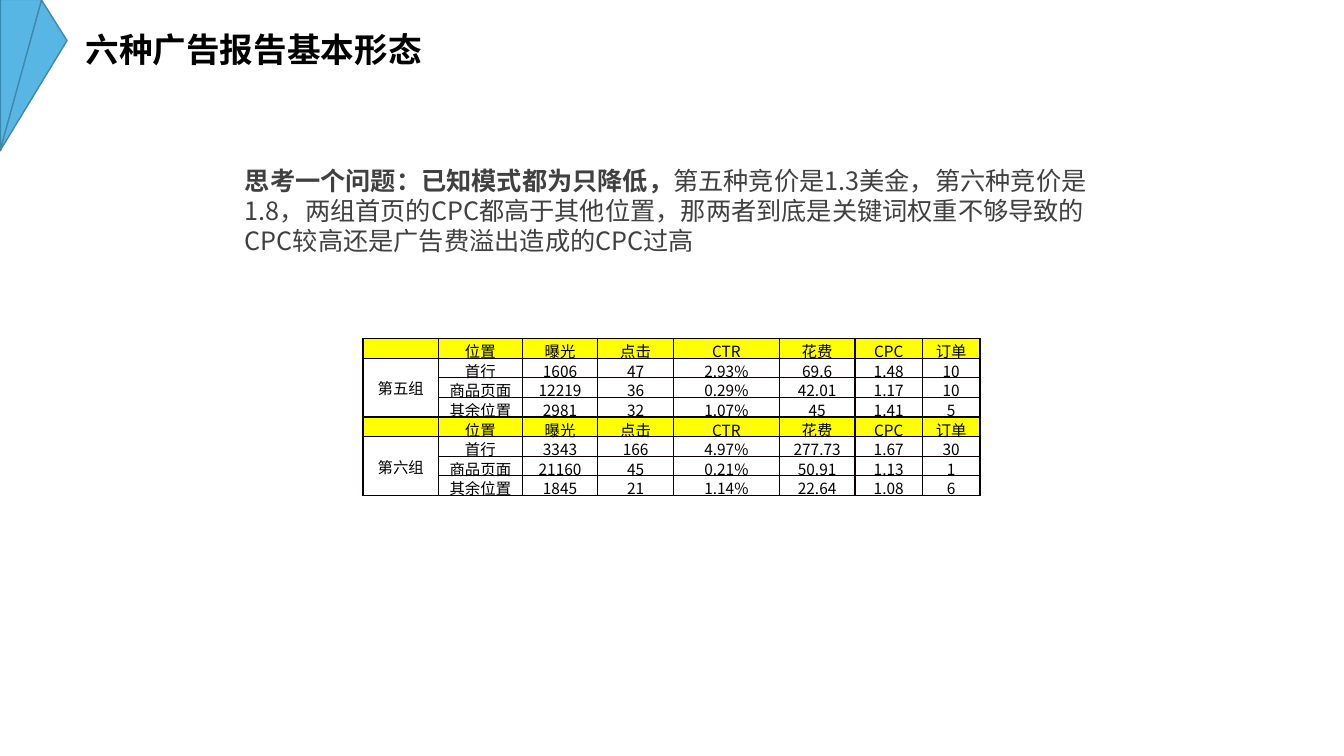
from lxml.etree import SubElement
from pptx import Presentation
from pptx.dml.color import RGBColor
from pptx.enum.shapes import MSO_SHAPE
from pptx.enum.text import MSO_ANCHOR, MSO_AUTO_SIZE, PP_ALIGN
from pptx.oxml.ns import qn
from pptx.util import Inches, Pt

# Content
TITLE = [("六种广告报告基本形态", True)]
QUESTION = [
    ("思考一个问题：已知模式都为只降低，", True),
    ("第五种竞价是1.3美金，第六种竞价是1.8，两组首页的CPC都高于其他位置，"
     "那两者到底是关键词权重不够导致的CPC较高还是广告费溢出造成的CPC过高", False),
]
HEADER = ["", "位置", "曝光", "点击", "CTR", "花费", "CPC", "订单"]
GROUPS = [
    ("第五组", [
        ["首行", "1606", "47", "2.93%", "69.6", "1.48", "10"],
        ["商品页面", "12219", "36", "0.29%", "42.01", "1.17", "10"],
        ["其余位置", "2981", "32", "1.07%", "45", "1.41", "5"],
    ]),
    ("第六组", [
        ["首行", "3343", "166", "4.97%", "277.73", "1.67", "30"],
        ["商品页面", "21160", "45", "0.21%", "50.91", "1.13", "1"],
        ["其余位置", "1845", "21", "1.14%", "22.64", "1.08", "6"],
    ]),
]

# Look
FONT = "Noto Sans CJK SC"
BLACK = RGBColor(0x00, 0x00, 0x00)
GREY = RGBColor(0x40, 0x40, 0x40)
BLUE = RGBColor(0x58, 0xB6, 0xE5)
DARK_BLUE = RGBColor(0x41, 0x87, 0xA9)
YELLOW = RGBColor(0xFF, 0xFF, 0x00)
BORDER = RGBColor(0x08, 0x00, 0x00)

# Left, top, width, height, rotation, apex position
FACETS = [
    (-0.54, 0.54, 1.5, 0.41, 90, 0),
    (-0.4, 0.62, 1.55, 0.35, 105.4, 0.206),
]
TABLE_LEFT, TABLE_TOP, TABLE_STEP = 3.6, 3.36, 0.78
COLUMN_WIDTHS = [0.75, 0.83, 0.75, 0.75, 1.05, 0.75, 0.67, 0.57]
ROW_HEIGHT = 0.18


def add_span(para, text, size, color, bold=False):
    span = para.add_run()
    span.text = text
    span.font.name = FONT
    span.font.size = Pt(size)
    span.font.bold = bold
    span.font.color.rgb = color
    SubElement(span.font._element, qn("a:ea"), typeface=FONT)


def add_text(page, place, spans, size, color, wrap):
    box = page.shapes.add_textbox(*map(Inches, place))
    frame = box.text_frame
    frame.word_wrap = wrap
    frame.auto_size = MSO_AUTO_SIZE.SHAPE_TO_FIT_TEXT
    for text, bold in spans:
        add_span(frame.paragraphs[0], text, size, color, bold)


def add_facet(page, left, top, width, height, rotation, apex):
    facet = page.shapes.add_shape(MSO_SHAPE.ISOSCELES_TRIANGLE,
                                  *map(Inches, (left, top, width, height)))
    facet.adjustments[0] = apex
    facet.rotation = rotation
    facet.shadow.inherit = False
    facet.fill.solid()
    facet.fill.fore_color.rgb = BLUE
    facet.line.color.rgb = DARK_BLUE
    facet.line.width = Pt(1)


def style_cell(cell, text, filled):
    cell.margin_left = cell.margin_right = cell.margin_top = Inches(0.01)
    cell.margin_bottom = 0
    cell.vertical_anchor = MSO_ANCHOR.MIDDLE
    para = cell.text_frame.paragraphs[0]
    para.alignment = PP_ALIGN.CENTER
    if text:
        add_span(para, text, 11, BLACK)
    else:
        SubElement(para._p, qn("a:endParaRPr"), sz="1100")

    # Borders come before the fill in the cell properties
    properties = cell._tc.get_or_add_tcPr()
    for side in ("lnL", "lnR", "lnT", "lnB"):
        line = SubElement(properties, qn(f"a:{side}"), w=str(Pt(1)))
        SubElement(SubElement(line, qn("a:solidFill")), qn("a:srgbClr"), val=str(BORDER))
    if filled:
        cell.fill.solid()
        cell.fill.fore_color.rgb = YELLOW
    else:
        cell.fill.background()


def add_group_table(page, top, group, records):
    rows = [HEADER] + [[group if index == 0 else ""] + record
                       for index, record in enumerate(records)]
    place = (TABLE_LEFT, top, sum(COLUMN_WIDTHS), ROW_HEIGHT * len(rows))
    table = page.shapes.add_table(len(rows), len(HEADER), *map(Inches, place)).table
    table.first_row = table.horz_banding = False
    for column, width in zip(table.columns, COLUMN_WIDTHS):
        column.width = Inches(width)
    for row_index, row in enumerate(rows):
        table.rows[row_index].height = Inches(ROW_HEIGHT)
        for column_index, text in enumerate(row):
            style_cell(table.cell(row_index, column_index), text, row_index == 0)
    table.cell(1, 0).merge(table.cell(len(records), 0))


def main():
    deck = Presentation()
    deck.slide_width, deck.slide_height = Inches(13.33), Inches(7.5)
    page = deck.slides.add_slide(deck.slide_layouts[6])

    # Corner ornament
    for facet in FACETS:
        add_facet(page, *facet)

    # Title and question
    add_text(page, (0.75, 0.24, 3.71, 0.5), TITLE, 24, BLACK, False)
    add_text(page, (2.33, 1.59, 8.59, 1.01), QUESTION, 18, GREY, True)

    # One table for each group
    for index, (group, records) in enumerate(GROUPS):
        add_group_table(page, TABLE_TOP + index * TABLE_STEP, group, records)

    deck.save("out.pptx")


if __name__ == "__main__":
    main()
